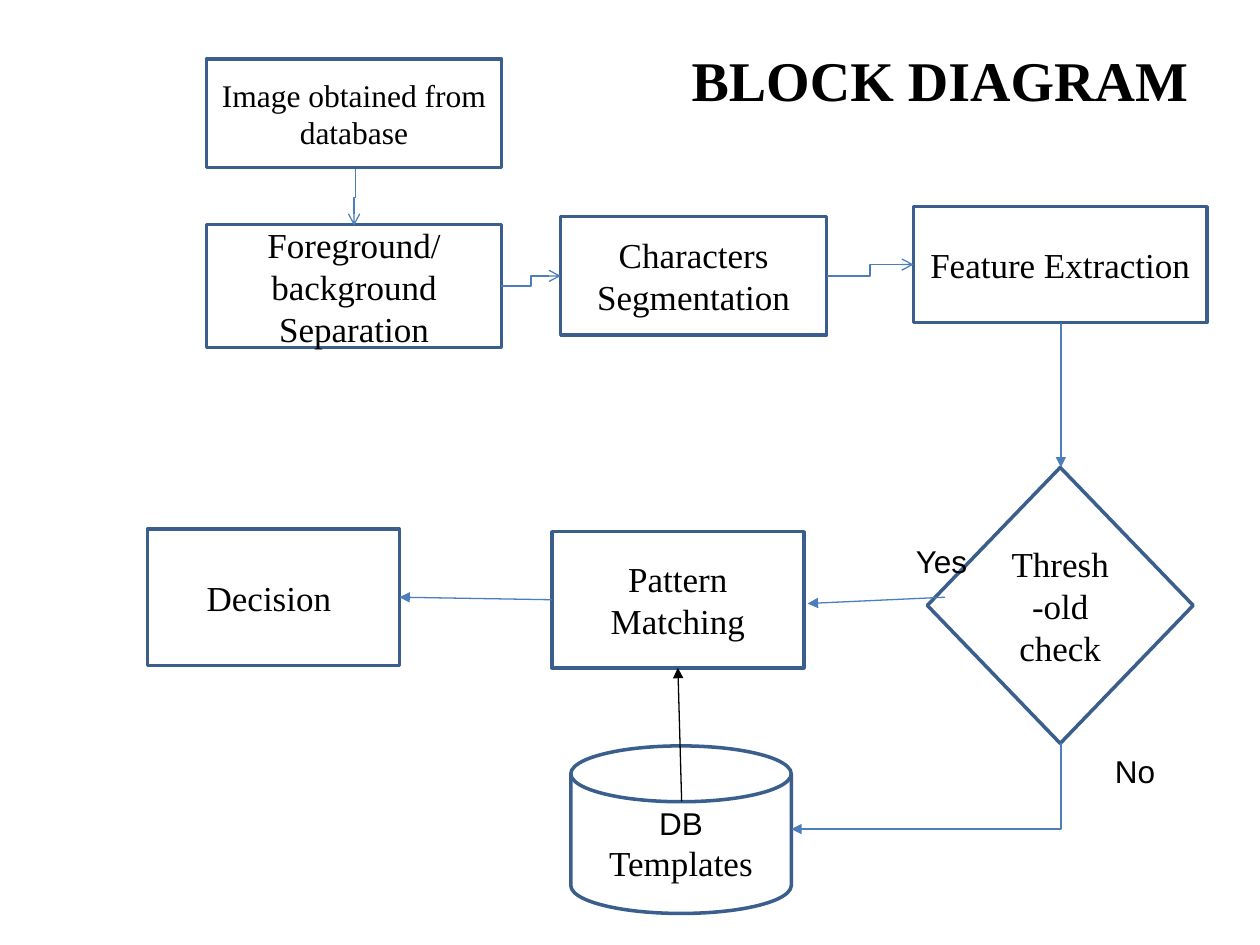
from lxml.etree import SubElement
from pptx import Presentation
from pptx.dml.color import RGBColor
from pptx.enum.shapes import MSO_CONNECTOR as Link, MSO_SHAPE as Shape
from pptx.enum.text import MSO_ANCHOR, PP_ALIGN
from pptx.oxml.ns import qn
from pptx.util import Inches, Pt

SERIF, SANS = "Times New Roman", "Arial"
BLACK, WHITE, BORDER, ARROW = "000000", "FFFFFF", "3A5F8C", "4B7EBC"

STEPS = [
    (Shape.RECTANGLE, (1.64, 0.47, 2.34, 0.86), WHITE, 18, "Image obtained from database"),
    (Shape.RECTANGLE, (1.64, 1.78, 2.34, 0.98), WHITE, 20, "Foreground/\nbackground Separation"),
    (Shape.RECTANGLE, (4.45, 1.72, 2.11, 0.94), WHITE, 20, "Characters Segmentation"),
    (Shape.RECTANGLE, (7.25, 1.64, 2.33, 0.92), WHITE, 20, "Feature Extraction"),
    (Shape.FLOWCHART_DECISION, (7.36, 3.71, 2.11, 2.19), None, 20, "Thresh-old check"),
    (Shape.FLOWCHART_PROCESS, (4.38, 4.22, 2, 1.08), None, 20, "Pattern Matching"),
    (Shape.FLOWCHART_PROCESS, (1.17, 4.2, 2, 1.08), WHITE, 20, "Decision "),
    (Shape.FLOWCHART_MAGNETIC_DISK, (4.53, 5.92, 1.75, 1.33), WHITE, 18, "DB "),
]
LABELS = [
    ((5.39, 0.31, 4.15, 0.6), "BLOCK DIAGRAM", SERIF, 32, True),
    ((7.17, 4.25, 0.75, 0.4), "Yes", SANS, 18, False),
    ((8.75, 5.92, 0.6, 0.4), "No", SANS, 18, False),
]
STRAIGHT_ARROWS = [
    ((7.5, 4.74), (6.41, 4.79), ARROW),
    ((5.41, 6.36), (5.38, 5.3), BLACK),
    ((4.38, 4.76), (3.17, 4.74), ARROW),
    ((8.42, 2.56), (8.42, 3.71), ARROW),
]
SIDEWAYS_ELBOWS = [((6.56, 2.19), (7.25, 2.1)), ((3.98, 2.27), (4.45, 2.19))]
DOWNWARD_ELBOWS = [
    ((2.82, 1.34), (2.81, 1.79), "bentConnector3", "arrow"),
    ((8.42, 5.9), (6.28, 6.58), "bentConnector2", "triangle"),
]


def rgb(color):
    return RGBColor.from_string(color)


def style(run, font, size, bold=False):
    run.font.name, run.font.size, run.font.bold = font, Pt(size), bold
    run.font.color.rgb = rgb(BLACK)


def add_step(slide, kind, box, fill, size, words):
    step = slide.shapes.add_shape(kind, *map(Inches, box))
    step.shadow.inherit = False
    if fill:
        step.fill.solid()
        step.fill.fore_color.rgb = rgb(fill)
    else:
        step.fill.background()
    step.line.color.rgb, step.line.width = rgb(BORDER), Pt(2)
    frame = step.text_frame
    frame.text, frame.word_wrap = words, True
    frame.vertical_anchor = MSO_ANCHOR.MIDDLE
    for paragraph in frame.paragraphs:
        paragraph.alignment = PP_ALIGN.CENTER
        for run in paragraph.runs:
            style(run, SERIF, size)
    return step


def add_label(slide, box, words, font, size, bold):
    frame = slide.shapes.add_textbox(*map(Inches, box)).text_frame
    frame.text, frame.word_wrap = words, False
    style(frame.paragraphs[0].runs[0], font, size, bold)


def add_arrow(slide, kind, start, end, color, head):
    arrow = slide.shapes.add_connector(kind, *map(Inches, start + end))
    arrow.line.color.rgb, arrow.line.width = rgb(color), Pt(0.75)
    SubElement(arrow.line._get_or_add_ln(), qn("a:tailEnd"), type=head)
    SubElement(arrow._element.spPr, qn("a:effectLst"))
    return arrow


def add_downward_elbow(slide, start, end, preset, head):
    (x1, y1), (x2, y2) = start, end
    mid_x, mid_y = (x1 + x2) / 2, (y1 + y2) / 2
    half_run, half_rise = (y2 - y1) / 2, (x1 - x2) / 2
    arrow = add_arrow(slide, Link.ELBOW, (mid_x - half_run, mid_y - half_rise),
                      (mid_x + half_run, mid_y + half_rise), ARROW, head)
    properties = arrow._element.spPr
    properties.find(qn("a:xfrm")).set("rot", str(90 * 60000))
    properties.find(qn("a:prstGeom")).set("prst", preset)


def main():
    deck = Presentation()
    deck.slide_width, deck.slide_height = Inches(10), Inches(7.5)
    slide = deck.slides.add_slide(deck.slide_layouts[6])
    steps = [add_step(slide, *step) for step in STEPS]
    database = steps[-1].text_frame.paragraphs[0]
    style(database.runs[0], SANS, 18)
    templates = database.add_run()
    templates.text = "Templates"
    style(templates, SERIF, 20)
    for label in LABELS:
        add_label(slide, *label)
    for start, end, color in STRAIGHT_ARROWS:
        add_arrow(slide, Link.STRAIGHT, start, end, color, "triangle")
    for start, end in SIDEWAYS_ELBOWS:
        add_arrow(slide, Link.ELBOW, start, end, ARROW, "arrow")
    for elbow in DOWNWARD_ELBOWS:
        add_downward_elbow(slide, *elbow)
    deck.save("out.pptx")


if __name__ == "__main__":
    main()
